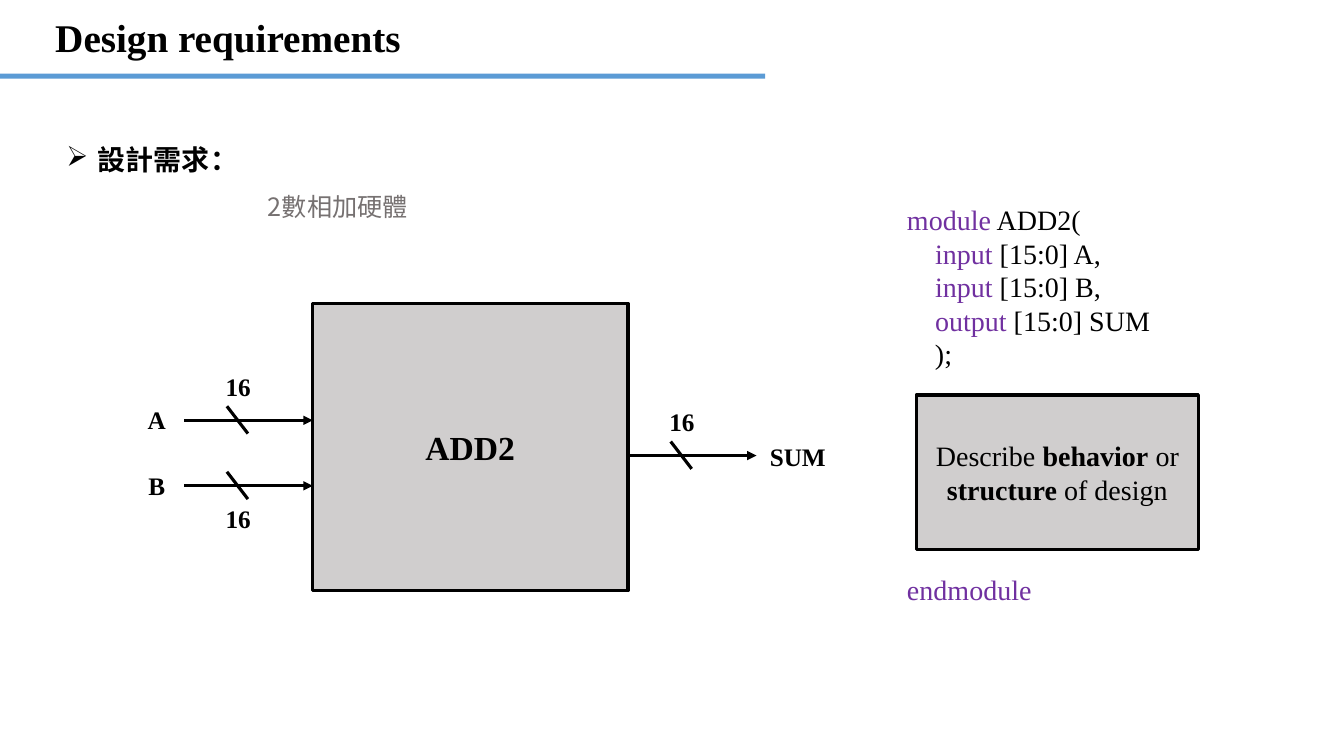
from lxml import etree
from pptx import Presentation
from pptx.dml.color import RGBColor
from pptx.enum import shapes, text
from pptx.oxml import ns
from pptx.util import Pt

COLORS = {
    "ink": "000000",
    "accent": "5B9BD5",
    "block": "D0CECE",
    "muted": "767171",
    "keyword": "7030A0",
}
SERIF = "Times New Roman"
WIRE_LENGTH = 91.8
CENTER = text.PP_ALIGN.CENTER


def rgb(name):
    return RGBColor.from_string(COLORS[name])


def add_run(paragraph, words, size, color="ink", bold=False, font=SERIF):
    run = paragraph.add_run()
    run.text = words
    run.font.size = Pt(size)
    run.font.bold = bold
    run.font.name = font
    run.font.color.rgb = rgb(color)
    east_asian = etree.SubElement(run.font._element, ns.qn("a:ea"))
    east_asian.set("typeface", font)


def add_text(slide, left, top, width, height, wrap=True):
    frame = slide.shapes.add_textbox(Pt(left), Pt(top), Pt(width), Pt(height)).text_frame
    frame.word_wrap = wrap
    return frame


def add_label(slide, words, left, top, width=38.2):
    paragraph = add_text(slide, left, top, width, 28.8).paragraphs[0]
    paragraph.alignment = CENTER
    add_run(paragraph, words, 18, bold=True)


def add_block(slide, left, top, width, height, fill="block", outlined=True):
    block = slide.shapes.add_shape(
        shapes.MSO_SHAPE.RECTANGLE, Pt(left), Pt(top), Pt(width), Pt(height))
    block.shadow.inherit = False
    block.fill.solid()
    block.fill.fore_color.rgb = rgb(fill)
    if outlined:
        block.line.color.rgb = rgb("ink")
        block.line.width = Pt(2.25)
    else:
        block.line.fill.background()
    block.text_frame.word_wrap = True
    block.text_frame.vertical_anchor = text.MSO_ANCHOR.MIDDLE
    paragraph = block.text_frame.paragraphs[0]
    paragraph.alignment = CENTER
    return paragraph


def add_line(slide, x1, y1, x2, y2, arrow=False):
    line = slide.shapes.add_connector(
        shapes.MSO_CONNECTOR.STRAIGHT, Pt(x1), Pt(y1), Pt(x2), Pt(y2))
    line.line.color.rgb = rgb("ink")
    line.line.width = Pt(2.25)
    if arrow:
        etree.SubElement(line.line._get_or_add_ln(), ns.qn("a:tailEnd"), type="triangle")
    etree.SubElement(line._element.spPr, ns.qn("a:effectLst"))


def add_bus(slide, left, y, width_offset):
    """Arrow with a slash across it and the bus width beside it."""
    add_line(slide, left, y, left + WIRE_LENGTH, y, arrow=True)
    add_line(slide, left + 30.5, y - 10, left + 45.5, y + 9.5)
    add_label(slide, "16", left + 19.4, y + width_offset)


def add_heading(slide):
    title = add_text(slide, 32.4, 5.8, 264.2, 41, wrap=False).paragraphs[0]
    add_run(title, "Design requirements", 28, bold=True)
    add_block(slide, 0, 52.6, 546.5, 3.6, fill="accent", outlined=False)


def add_requirement(slide):
    frame = add_text(slide, 40.3, 86.4, 740.9, 75.6)
    need, detail = frame.paragraphs[0], frame.add_paragraph()
    for paragraph in (need, detail):
        paragraph.line_spacing = 1.5
    bullet_props = need._p.get_or_add_pPr()
    bullet_props.set("marL", str(Pt(22.5)))
    bullet_props.set("indent", str(Pt(-22.5)))
    etree.SubElement(bullet_props, ns.qn("a:buChar"), char="➢")
    detail._p.get_or_add_pPr().set("marL", str(Pt(144)))
    add_run(need, "設計需求：", 20, bold=True, font="Noto Sans CJK SC")
    add_run(detail, "2數相加硬體", 18, "muted", font="Noto Sans CJK TC")


def add_adder(slide):
    adder = add_block(slide, 223.2, 216.7, 225.4, 205.2)
    add_run(adder, "ADD2", 24, bold=True)
    for signal, y, width_offset in (("A", 300.2, -38.8), ("B", 347, 8.7)):
        add_bus(slide, 131.6, y, width_offset)
        add_label(slide, signal, 92.9, y - 14.6)
    add_bus(slide, 448.6, 325.4, -38.8)
    add_label(slide, "SUM", 540.7, 311.8, width=58.3)


def add_module(slide):
    code_lines = [
        [("module", "keyword"), (" ADD2(", "ink")],
        [("    ", "ink"), ("input", "keyword"), (" [15:0] A,", "ink")],
        [("    ", "ink"), ("input", "keyword"), (" [15:0] B,", "ink")],
        [("    ", "ink"), ("output", "keyword"), (" [15:0] SUM", "ink")],
        [("    );", "ink")],
        [("endmodule", "keyword")],
    ]
    frame = add_text(slide, 640.8, 141.1, 293, 298.1)
    for index, code_line in enumerate(code_lines):
        paragraph = frame.add_paragraph() if index else frame.paragraphs[0]
        for words, color in code_line:
            add_run(paragraph, words, 20, color)
    # Room for the body block ahead of endmodule
    paragraph.space_before = Pt(144)

    body = add_block(slide, 654.5, 282.2, 201.6, 110.2)
    for words, bold in (("Describe ", False), ("behavior", True), (" or ", False),
                        ("structure", True), (" of design", False)):
        add_run(body, words, 20, bold=bold)


def main():
    deck = Presentation()
    deck.slide_width, deck.slide_height = Pt(960), Pt(540)
    slide = deck.slides.add_slide(deck.slide_layouts[6])
    add_heading(slide)
    add_requirement(slide)
    add_adder(slide)
    add_module(slide)
    deck.save("out.pptx")


if __name__ == "__main__":
    main()
